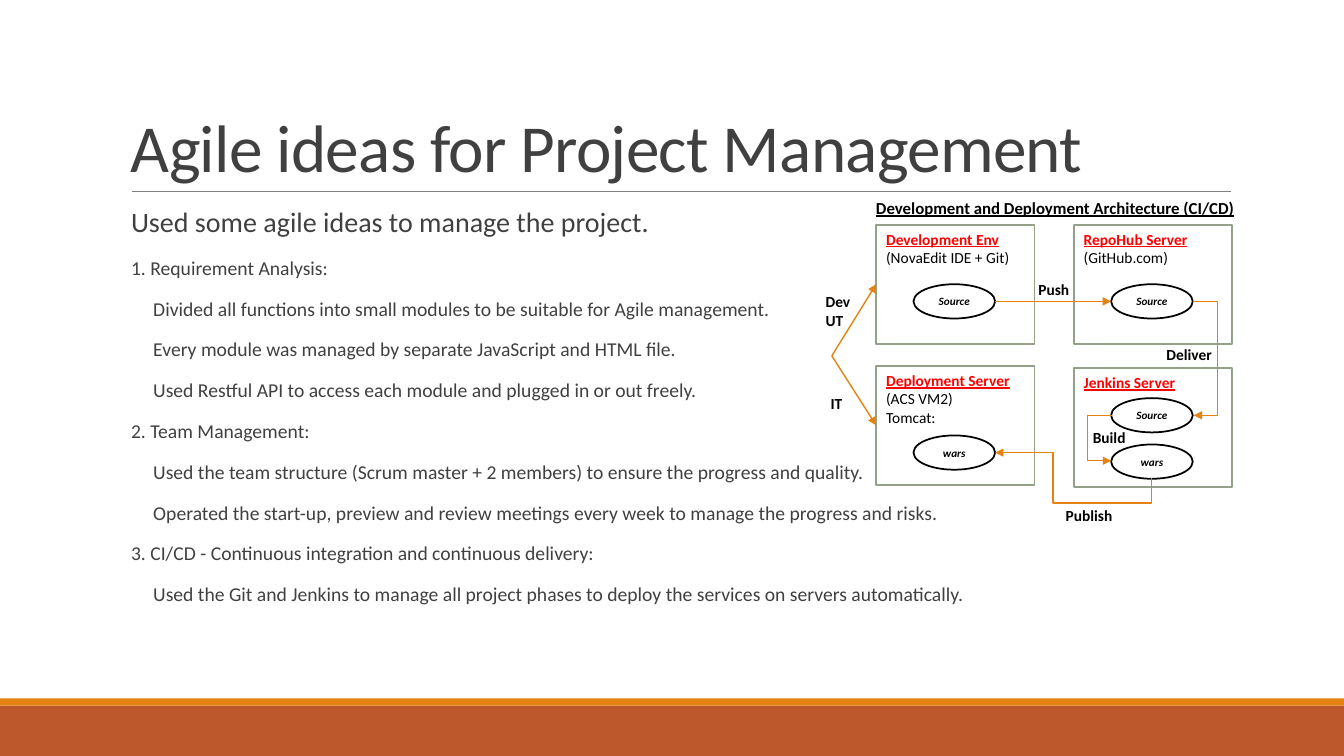
from lxml import etree
from pptx import Presentation
from pptx.dml.color import RGBColor
from pptx.enum.shapes import MSO_CONNECTOR, MSO_SHAPE
from pptx.enum.text import MSO_ANCHOR, PP_ALIGN
from pptx.oxml.ns import qn
from pptx.util import Inches, Pt

RECT, OVAL = MSO_SHAPE.RECTANGLE, MSO_SHAPE.OVAL
STRAIGHT, ELBOW = MSO_CONNECTOR.STRAIGHT, MSO_CONNECTOR.ELBOW
TOP, MIDDLE, BOTTOM = MSO_ANCHOR.TOP, MSO_ANCHOR.MIDDLE, MSO_ANCHOR.BOTTOM
LEFT, CENTER = PP_ALIGN.LEFT, PP_ALIGN.CENTER

BLACK = RGBColor(0x00, 0x00, 0x00)
WHITE = RGBColor(0xFF, 0xFF, 0xFF)
RED = RGBColor(0xFF, 0x00, 0x00)
DARK = RGBColor(0x40, 0x40, 0x40)
GRAY = RGBColor(0x80, 0x80, 0x80)
GREEN = RGBColor(0x94, 0xA0, 0x88)
ORANGE = RGBColor(0xE4, 0x83, 0x12)
RUST = RGBColor(0xBD, 0x58, 0x2C)

prs = Presentation()
prs.slide_width, prs.slide_height = Inches(13.33), Inches(7.5)
s = prs.slides.add_slide(prs.slide_layouts[6])


def add_item(kind, box, text="", size=11, color=BLACK, fill=None, line=None, anchor=TOP, align=LEFT):
    """Add a preset shape, or a text box when kind is None."""
    box = [Inches(v) for v in box]
    if kind is None:
        sp = s.shapes.add_textbox(*box)
    else:
        sp = s.shapes.add_shape(kind, *box)
        sp.shadow.inherit = False
        sp.fill.solid()
        sp.fill.fore_color.rgb = fill
        if line is None:
            sp.line.fill.background()
        else:
            sp.line.color.rgb = line
            sp.line.width = Pt(1.25)
    tf = sp.text_frame
    tf.word_wrap = True
    tf.vertical_anchor = anchor
    tf.text = text
    for p in tf.paragraphs:
        p.alignment = align
        for r in p.runs:
            r.font.name, r.font.size, r.font.color.rgb = "Calibri", Pt(size), color
    return sp


def add_line(kind, start, end, color=ORANGE, width=1, arrow=True):
    c = s.shapes.add_connector(kind, *[Inches(v) for v in (*start, *end)])
    c.line.color.rgb = color
    c.line.width = Pt(width)
    if arrow:
        etree.SubElement(c.line._get_or_add_ln(), qn("a:tailEnd"), type="triangle")
    etree.SubElement(c._element.spPr, qn("a:effectLst"))
    return c


# Footer bands and title rule
add_item(RECT, (0, 7, 13.33, 0.5), fill=RUST)
add_item(RECT, (0, 6.93, 13.33, 0.07), fill=ORANGE)
add_line(STRAIGHT, (1.31, 1.9), (12.21, 1.9), GRAY, 0.5, arrow=False)

# Title
title = add_item(None, (1.2, 0.31, 11, 1.59), "Agile ideas for Project Management", 48, DARK, anchor=BOTTOM)
p = title.text_frame.paragraphs[0]
p.line_spacing = 0.85
p.runs[0].font._element.set("spc", "-50")

# Body: (indent level, text)
items = [
    (0, "Used some agile ideas to manage the project."),
    (0, "1. Requirement Analysis:"),
    (1, "Divided all functions into small modules to be suitable for Agile management."),
    (1, "Every module was managed by separate JavaScript and HTML file."),
    (1, "Used Restful API to access each module and plugged in or out freely."),
    (0, "2. Team Management:"),
    (1, "Used the team structure (Scrum master + 2 members) to ensure the progress and quality."),
    (1, "Operated the start-up, preview and review meetings every week to manage the progress and risks."),
    (0, "3. CI/CD - Continuous integration and continuous delivery:"),
    (1, "Used the Git and Jenkins to manage all project phases to deploy the services on servers automatically."),
]
body = add_item(None, (1.2, 2.02, 11, 4.4), "\n".join(text for _, text in items), 14, DARK)
tf = body.text_frame
tf.margin_left = tf.margin_right = 0
for i, ((level, _), p) in enumerate(zip(items, tf.paragraphs)):
    p._p.get_or_add_pPr().set("marL", str(Inches(0.1 + 0.22 * level)))
    p.line_spacing = 0.9
    p.space_before = Pt(12 if i else 0)
    p.space_after = Pt(2)
tf.paragraphs[0].runs[0].font.size = Pt(20)

# Environment boxes
boxes = {}
for name, x, y, details in [
    ("Development Env", 8.69, 2.23, "\n(NovaEdit IDE + Git)"),
    ("Deployment Server", 8.69, 3.63, "\n(ACS VM2)\nTomcat:"),
    ("RepoHub Server", 10.65, 2.23, "\n(GitHub.com)"),
    ("Jenkins Server", 10.65, 3.65, ""),
]:
    sp = add_item(RECT, (x, y, 1.57, 1.18), name + details, fill=WHITE, line=GREEN)
    font = sp.text_frame.paragraphs[0].runs[0].font
    font.bold = font.underline = True
    font.color.rgb = RED
    boxes[name] = sp

# Artifacts inside the boxes
for name, x, y in [("Source", 9.06, 2.82), ("Source", 11.02, 2.82), ("Source", 11.02, 3.95),
                   ("wars", 9.06, 4.32), ("wars", 11.02, 4.41)]:
    sp = add_item(OVAL, (x, y, 0.81, 0.34), name, 8, fill=WHITE, line=BLACK, anchor=MIDDLE, align=CENTER)
    font = sp.text_frame.paragraphs[0].runs[0].font
    font.bold = font.italic = True

# Straight arrows: push, then development and integration testing
add_line(STRAIGHT, (9.87, 2.99), (11.02, 2.99))
for name, y in [("Development Env", 2.82), ("Deployment Server", 4.22)]:
    add_line(STRAIGHT, (8.25, 3.53), (8.69, y)).end_connect(boxes[name], 1)

# Elbow arrows: deliver, build, publish (frame before rotation, bends as shares of it)
for x, y, w, h, rot, flip, bends in [
    (11.83, 2.99, 0.01, 1.13, 0, None, [25]),
    (11.02, 4.12, 0.01, 0.45, 180, "flipV", [25]),
    (10.52, 3.84, 0.25, 1.55, 90, "flipH", [-1, 0.63]),
]:
    c = add_line(ELBOW, (x, y), (x + w, y + h))
    xfrm = c._element.spPr.find(qn("a:xfrm"))
    xfrm.set("rot", str(rot * 60000))
    if flip:
        xfrm.set(flip, "1")
    geom = c._element.spPr.find(qn("a:prstGeom"))
    geom.set("prst", f"bentConnector{len(bends) + 2}")
    guides = geom.find(qn("a:avLst"))
    for n, bend in enumerate(bends, 1):
        etree.SubElement(guides, qn("a:gd"), name=f"adj{n}", fmla=f"val {round(bend * 100000)}")

# Diagram heading and arrow labels
heading = "Development and Deployment Architecture (CI/CD)"
for text, x, y, w, h, size in [
    (heading, 8.59, 1.91, 3.77, 0.32, 12),
    ("Push", 10.2, 2.73, 0.53, 0.3, 11),
    ("Deliver", 11.47, 3.37, 0.75, 0.29, 11),
    ("Build", 10.74, 4.2, 0.53, 0.3, 11),
    ("Publish", 10.47, 4.97, 0.79, 0.29, 11),
    ("Dev\nUT", 8.09, 2.85, 0.53, 0.48, 11),
    ("IT", 8.14, 3.86, 0.53, 0.3, 11),
]:
    sp = add_item(None, (x, y, w, h), text, size)
    sp.text_frame.margin_right = 0
    for p in sp.text_frame.paragraphs:
        p.runs[0].font.bold = True
        p.runs[0].font.underline = text == heading

prs.save("out.pptx")
